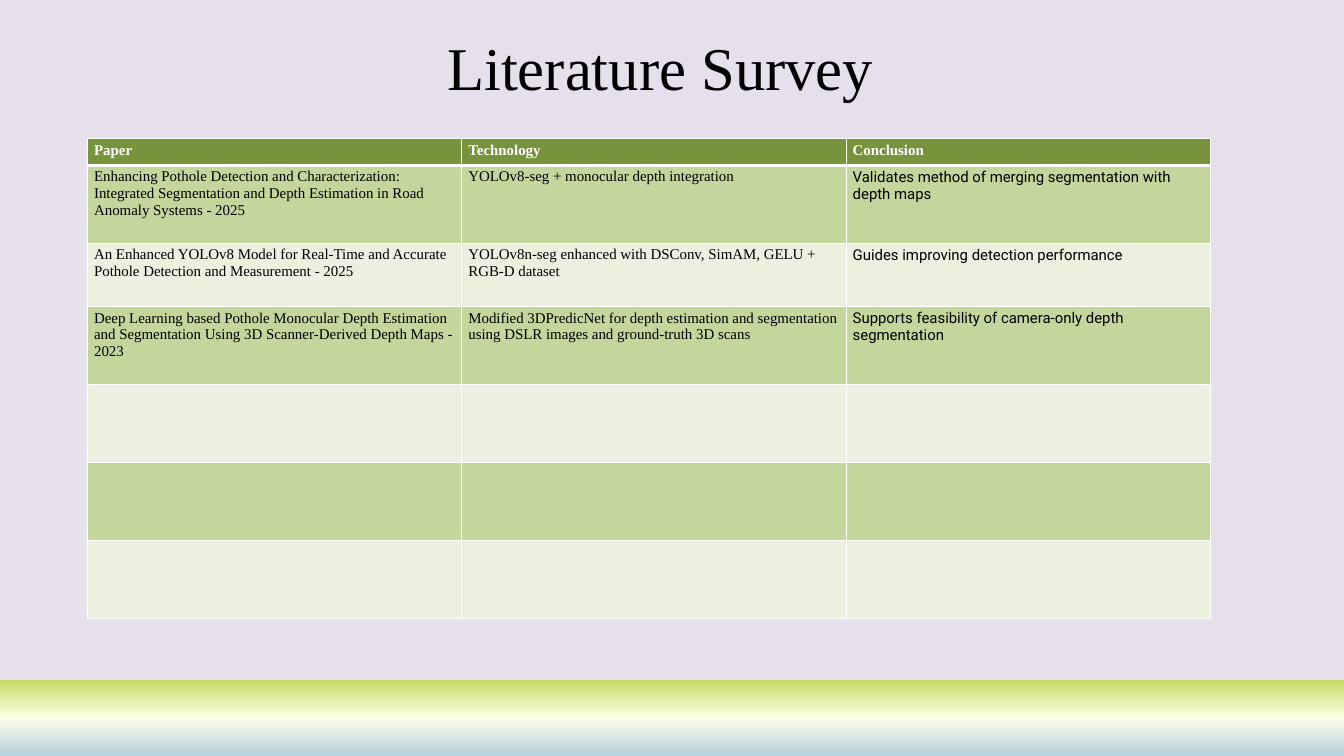
from copy import deepcopy

from lxml.etree import SubElement
from pptx import Presentation
from pptx.dml.color import RGBColor
from pptx.enum.shapes import MSO_SHAPE
from pptx.enum.text import MSO_ANCHOR, MSO_AUTO_SIZE, PP_ALIGN
from pptx.oxml.ns import qn
from pptx.util import Inches, Pt

COLORS = {
    "background": "E6E0EC",
    "text": "000000",
    "white": "FFFFFF",
    "header": "77933C",
    "odd_row": "C3D69B",
    "even_row": "EBF1DE",
    "band_top": "C6DB63",
    "band_middle": "FBFFE7",
    "band_bottom": "B7D0DD",
}
SERIF, SANS = "Times New Roman", "Roboto"

HEADINGS = ["Paper", "Technology", "Conclusion"]
PAPERS = [
    ["Enhancing Pothole Detection and Characterization: Integrated Segmentation "
     "and Depth Estimation in Road Anomaly Systems - 2025",
     "YOLOv8‑seg + monocular depth integration",
     "Validates method of merging segmentation with depth maps"],
    ["An Enhanced YOLOv8 Model for Real‑Time and Accurate Pothole Detection "
     "and Measurement - 2025",
     "YOLOv8n‑seg enhanced with DSConv, SimAM, GELU + RGB‑D dataset",
     "Guides improving detection performance"],
    ["Deep Learning based Pothole Monocular Depth Estimation and Segmentation "
     "Using 3D Scanner‑Derived Depth Maps - 2023",
     "Modified 3DPredicNet for depth estimation and segmentation using DSLR "
     "images and ground‑truth 3D scans",
     "Supports feasibility of camera-only depth segmentation"],
]
EMPTY_ROWS = 3
COLUMN_WIDTHS = [5.57, 5.72, 5.42]
ROW_HEIGHTS = [0.4, 1.16, 0.94] + [1.16] * 4


def color(name):
    return RGBColor.from_string(COLORS[name])


def write(frame, text, size=16, font=SERIF, fill="text", bold=False,
          align=PP_ALIGN.LEFT, spacing=None):
    paragraph = frame.paragraphs[0]
    paragraph.alignment = align
    if spacing:
        paragraph.line_spacing = spacing
    run = paragraph.add_run()
    run.text = text
    run.font.size = Pt(size)
    run.font.name = font
    run.font.bold = bold
    run.font.color.rgb = color(fill)


class SurveySlide:
    def __init__(self, presentation):
        self.slide = presentation.slides.add_slide(presentation.slide_layouts[5])
        background = self.slide.background.fill
        background.solid()
        background.fore_color.rgb = color("background")

    def title(self, text, left, top, width, height):
        title = self.slide.shapes.title
        title.left, title.top = Inches(left), Inches(top)
        title.width, title.height = Inches(width), Inches(height)
        frame = title.text_frame
        frame.margin_left = frame.margin_right = 0
        frame.margin_top = frame.margin_bottom = 0
        frame.vertical_anchor = MSO_ANCHOR.TOP
        frame.word_wrap = True
        frame.auto_size = MSO_AUTO_SIZE.SHAPE_TO_FIT_TEXT
        write(frame, text, size=65, align=PP_ALIGN.CENTER, spacing=1.2)

    def gradient_band(self, left, top, width, height, names):
        band = self.slide.shapes.add_shape(
            MSO_SHAPE.RECTANGLE, Inches(left), Inches(top), Inches(width), Inches(height))
        band.shadow.inherit = False
        band.line.fill.background()
        band.fill.gradient()
        band.fill.gradient_angle = 270
        # The default gradient has two stops; add the others
        stop_list = band.element.find(".//" + qn("a:gsLst"))
        while len(stop_list) < len(names):
            stop_list.append(deepcopy(stop_list[-1]))
        for index, (stop, name) in enumerate(zip(band.fill.gradient_stops, names)):
            stop.position = index / (len(names) - 1)
            stop.color.rgb = color(name)

    def borders(self, cell, **widths):
        properties = cell._tc.get_or_add_tcPr()
        for side in ("L", "R", "T", "B"):
            line = SubElement(properties, qn(f"a:ln{side}"), w=str(Pt(widths.get(side, 1))))
            fill = SubElement(line, qn("a:solidFill"))
            SubElement(fill, qn("a:srgbClr"), val=COLORS["white"])

    def table(self, rows, left, top):
        frame = self.slide.shapes.add_table(
            len(rows), len(COLUMN_WIDTHS), Inches(left), Inches(top),
            Inches(sum(COLUMN_WIDTHS)), Inches(sum(ROW_HEIGHTS)))
        survey = frame.table
        survey.horz_banding = False
        for column, width in zip(survey.columns, COLUMN_WIDTHS):
            column.width = Inches(width)
        for row, height in zip(survey.rows, ROW_HEIGHTS):
            row.height = Inches(height)

        for r, texts in enumerate(rows):
            is_header = r == 0
            row_fill = "header" if is_header else "odd_row" if r % 2 else "even_row"
            for c, text in enumerate(texts):
                cell = survey.cell(r, c)
                # A thick rule separates the header from the papers
                self.borders(cell, T=3 if r == 1 else 1, B=3 if is_header else 1)
                cell.fill.solid()
                cell.fill.fore_color.rgb = color(row_fill)
                if text:
                    write(cell.text_frame, text, bold=is_header,
                          fill="white" if is_header else "text",
                          font=SANS if c == 2 and not is_header else SERIF)


def main():
    presentation = Presentation()
    presentation.slide_width, presentation.slide_height = Inches(20), Inches(11.25)
    survey = SurveySlide(presentation)

    # Title
    survey.title("Literature Survey", 6.05, 0.23, 7.56, 1.31)

    # Band along the bottom edge
    survey.gradient_band(0, 10.12, 20, 1.13, ["band_top", "band_middle", "band_bottom"])

    # Papers, with rows left open for more
    open_rows = [[""] * len(HEADINGS)] * EMPTY_ROWS
    survey.table([HEADINGS] + PAPERS + open_rows, 1.3, 2.06)

    presentation.save("out.pptx")


if __name__ == "__main__":
    main()
